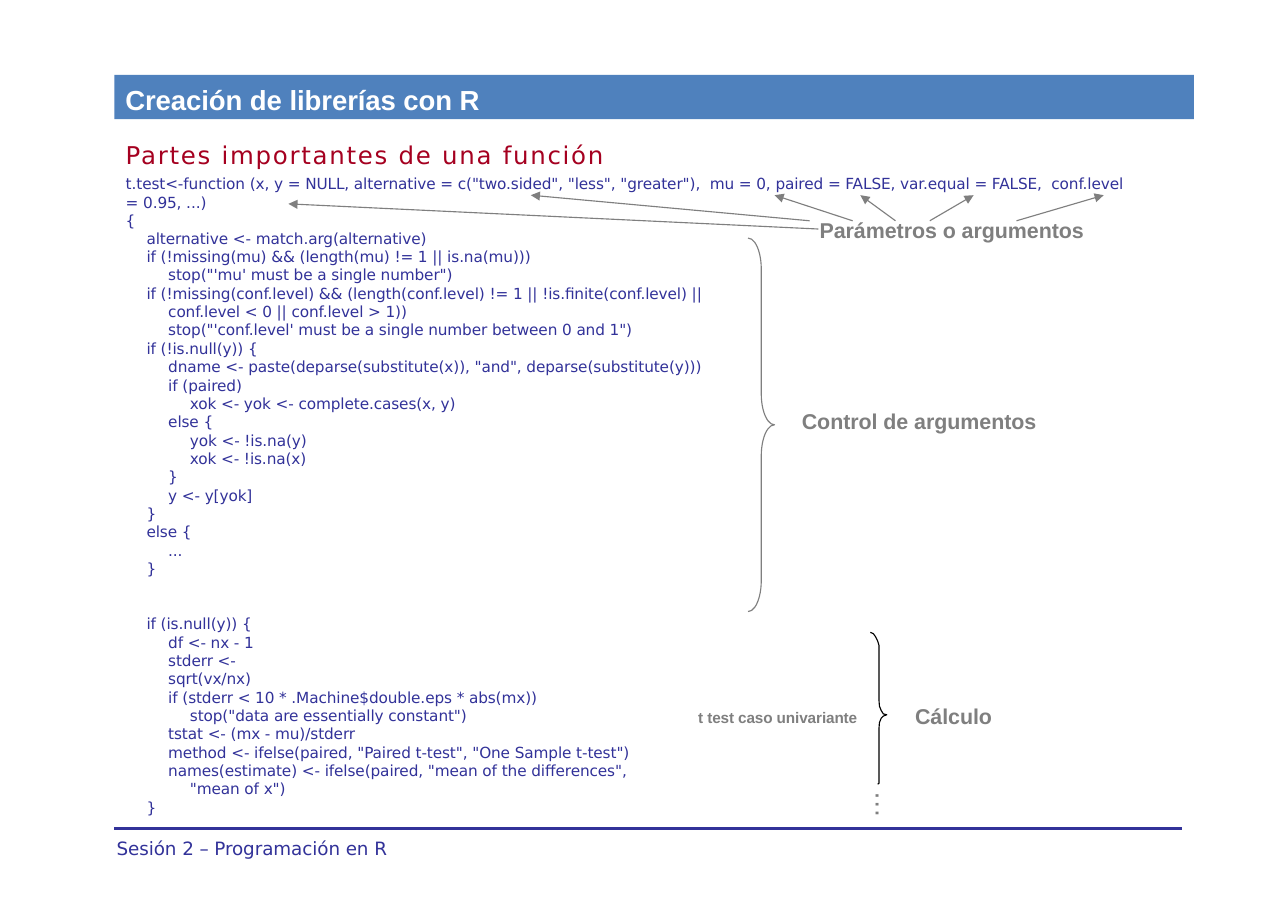
from lxml.etree import SubElement
from pptx import Presentation
from pptx.dml.color import RGBColor
from pptx.enum.shapes import MSO_CONNECTOR, MSO_SHAPE
from pptx.enum.text import MSO_ANCHOR
from pptx.oxml.ns import qn
from pptx.util import Cm, Pt

BLUE = RGBColor(0x4F, 0x81, 0xBD)
NAVY = RGBColor(0x32, 0x32, 0x99)
RED = RGBColor(0xA5, 0x00, 0x20)
GRAY = RGBColor(0x7F, 0x7F, 0x7F)
BLACK = RGBColor(0, 0, 0)
WHITE = RGBColor(0xFF, 0xFF, 0xFF)
SANS, ARIAL = "DejaVu Sans", "Arial"
STEP = 0.5

TITLE = "Creación de librerías con R"
TOPIC = "Partes importantes de una función"
FOOT = "Sesión 2 – Programación en R"

HEAD = [
    (0, 't.test<-function (x, y = NULL, alternative = c("two.sided", "less", "greater"),'
        '  mu = 0, paired = FALSE, var.equal = FALSE,  conf.level'),
    (0, "= 0.95, ...)"),
    (0, "{"),
]
CHECK = [
    (0, "alternative <- match.arg(alternative)"),
    (0, "if (!missing(mu) && (length(mu) != 1 || is.na(mu)))"),
    (1, "stop(\"'mu' must be a single number\")"),
    (0, "if (!missing(conf.level) && (length(conf.level) != 1 || !is.finite(conf.level) ||"),
    (1, "conf.level < 0 || conf.level > 1))"),
    (1, "stop(\"'conf.level' must be a single number between 0 and 1\")"),
    (0, "if (!is.null(y)) {"),
    (1, 'dname <- paste(deparse(substitute(x)), "and", deparse(substitute(y)))'),
    (1, "if (paired)"),
    (2, "xok <- yok <- complete.cases(x, y)"),
    (1, "else {"),
    (2, "yok <- !is.na(y)"),
    (2, "xok <- !is.na(x)"),
    (1, "}"),
    (1, "y <- y[yok]"),
    (0, "}"),
    (0, "else {"),
    (1, "..."),
    (0, "}"),
]
CALC = [
    (0, "if (is.null(y)) {"),
    (1, "df <- nx - 1"),
    (1, "stderr <-"),
    (1, "sqrt(vx/nx)"),
    (1, "if (stderr < 10 * .Machine$double.eps * abs(mx))"),
    (2, 'stop("data are essentially constant")'),
    (1, "tstat <- (mx - mu)/stderr"),
    (1, 'method <- ifelse(paired, "Paired t-test", "One Sample t-test")'),
    (1, 'names(estimate) <- ifelse(paired, "mean of the differences",'),
    (2, '"mean of x")'),
    (0, "}"),
]
LABELS = [
    ("Control de argumentos", 18.49, 9.4, 6, 14),
    ("t test caso univariante", 16.1, 16.33, 4, 10),
    ("Cálculo", 21.1, 16.21, 2.5, 14),
    ("Parámetros o argumentos", 18.9, 5, 7, 14),
]
ARROWS = [
    (18.87, 5.28, 6.65, 4.7),
    (18.67, 5.09, 12.24, 4.5),
    (19.66, 5.09, 17.86, 4.5),
    (20.65, 5.09, 19.84, 4.5),
    (21.44, 5.09, 22.45, 4.5),
    (23.44, 5.09, 25.45, 4.5),
]
BRACE = [
    (20.07, 14.58), (20.14, 14.61), (20.19, 14.68), (20.24, 14.78),
    (20.27, 14.88), (20.27, 16.15), (20.28, 16.28), (20.32, 16.38),
    (20.37, 16.46), (20.45, 16.48), (20.37, 16.51), (20.32, 16.56),
    (20.28, 16.66), (20.27, 16.79), (20.27, 18.06), (20.24, 18.08),
]

deck = Presentation()
deck.slide_width, deck.slide_height = Cm(29.7), Cm(20.98)
slide = deck.slides.add_slide(deck.slide_layouts[6])
shapes = slide.shapes


def setup(frame):
    frame.word_wrap = True
    frame.vertical_anchor = MSO_ANCHOR.TOP
    frame.margin_left = frame.margin_right = 0
    frame.margin_top = frame.margin_bottom = 0
    return frame


def box(x, y, w, h):
    return setup(shapes.add_textbox(Cm(x), Cm(y), Cm(w), Cm(h)).text_frame)


def write(para, text, size, face, color, bold=False, gap=-5):
    run = para.add_run()
    run.text = text
    font = run.font
    font.size, font.name, font.bold = Pt(size), face, bold
    font.color.rgb = color
    run._r.get_or_add_rPr().set("spc", str(gap))


def code(frame, lines, fresh=True):
    for i, (level, text) in enumerate(lines):
        para = frame.paragraphs[0] if fresh and i == 0 else frame.add_paragraph()
        para.line_spacing = Pt(12)
        para._p.get_or_add_pPr().set("marL", str(Cm(level * STEP)))
        write(para, text, 10, SANS, NAVY)


def link(x1, y1, x2, y2, color, width, tip=False):
    line = shapes.add_connector(MSO_CONNECTOR.STRAIGHT, Cm(x1), Cm(y1), Cm(x2), Cm(y2))
    line.line.color.rgb = color
    line.line.width = Pt(width)
    if tip:
        SubElement(line.line._get_or_add_ln(), qn("a:tailEnd"), type="triangle")
    SubElement(line._element.spPr, qn("a:effectLst"))


def trace(shape, color):
    shape.shadow.inherit = False
    shape.fill.background()
    shape.line.color.rgb = color
    shape.line.width = Pt(0.75)


bar = shapes.add_shape(MSO_SHAPE.RECTANGLE, Cm(2.64), Cm(1.73), Cm(24.89), Cm(1.02))
bar.shadow.inherit = False
bar.fill.solid()
bar.fill.fore_color.rgb = BLUE
bar.line.fill.background()
frame = setup(bar.text_frame)
frame.margin_left, frame.margin_top = Cm(0.25), Cm(0.18)
para = frame.paragraphs[0]
para._p.get_or_add_pPr().set("algn", "l")
write(para, TITLE, 18, ARIAL, WHITE, True)

link(2.64, 19.1, 27.25, 19.1, NAVY, 2.25)

frame = box(2.9, 3.23, 23.88, 2.08)
write(frame.paragraphs[0], TOPIC, 16, SANS, RED, gap=115)
code(frame, HEAD, False)
frame.paragraphs[1].space_before = Pt(3.4)
code(box(3.38, 5.28, 13.5, 8.08), CHECK)
code(box(3.38, 14.17, 11.6, 4.66), CALC)

for text, x, y, w, size in LABELS:
    write(box(x, y, w, 0.64).paragraphs[0], text, size, ARIAL, GRAY, True)

for ends in ARROWS:
    link(*ends, GRAY, 0.75, True)

brace = shapes.add_shape(MSO_SHAPE.RIGHT_BRACE, Cm(17.25), Cm(5.49), Cm(0.61), Cm(8.61))
brace.adjustments[0] = 1.17
trace(brace, GRAY)

points = [(Cm(x), Cm(y)) for x, y in BRACE]
path = shapes.build_freeform(*points[0])
path.add_line_segments(points[1:], close=False)
trace(path.convert_to_shape(), BLACK)

frame = box(19.71, 18.16, 0.71, 0.71)
frame._txBody.bodyPr.set("vert", "vert270")
frame.paragraphs[0].line_spacing = Pt(19.2)
write(frame.paragraphs[0], "…", 18, ARIAL, GRAY, gap=0)

write(box(2.69, 19.3, 7, 0.5).paragraphs[0], FOOT, 12, SANS, NAVY)

deck.save("out.pptx")
